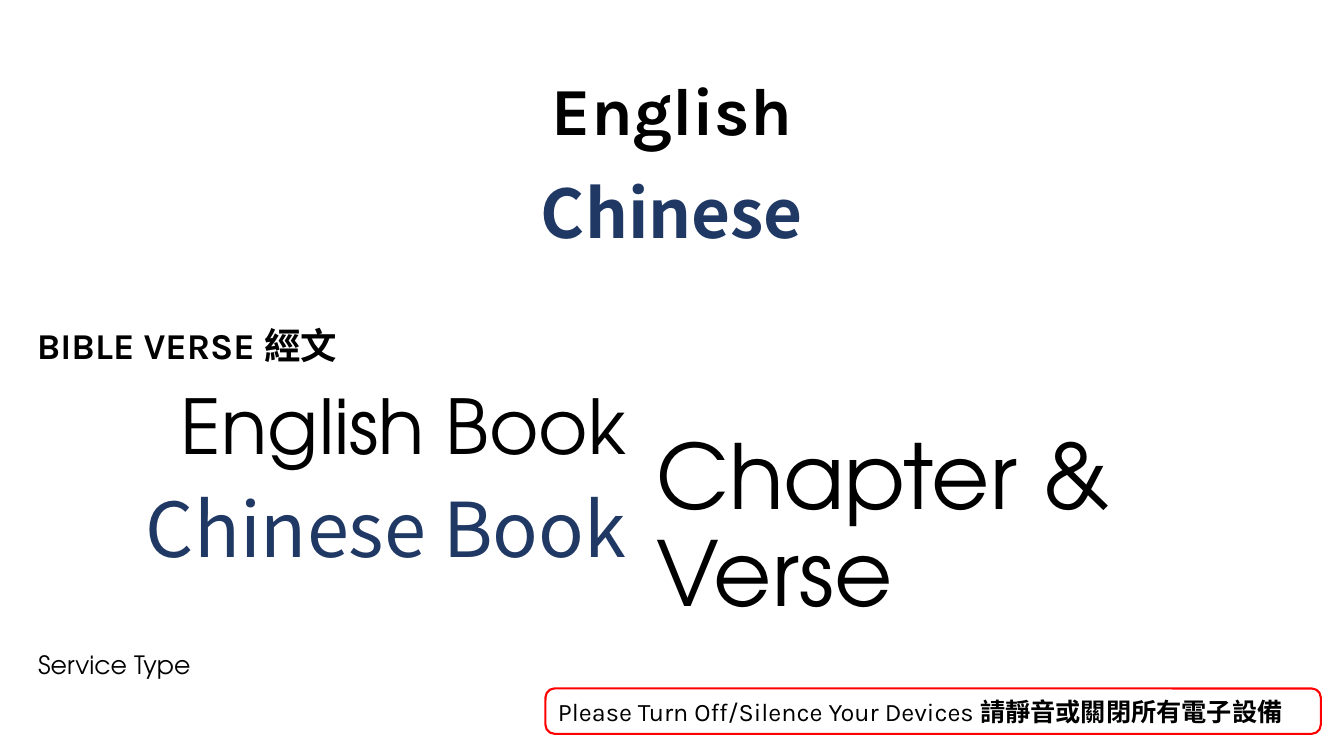
from pptx import Presentation
from pptx.dml.color import RGBColor as Color
from pptx.enum.shapes import MSO_SHAPE as Shape
from pptx.enum.text import MSO_ANCHOR as Anchor, MSO_AUTO_SIZE as Fit, PP_ALIGN as Align
from pptx.oxml.ns import qn
from pptx.util import Inches, Pt
from lxml.etree import SubElement


class Theme:
    black = Color(0, 0, 0)
    navy = Color(0x20, 0x38, 0x64)
    red = Color(0xFF, 0, 0)
    karla = "Karla"
    gyre = "TeX Gyre Adventor"
    hans = "Noto Sans CJK SC"
    hant = "Noto Sans CJK TC"
    small, label, head, book, verse = map(Pt, (18, 26, 48, 54, 64))


def place(shape, box):
    shape.left, shape.top, shape.width, shape.height = map(Inches, box)


def write(shape, runs, size, color=Theme.black, align=Align.LEFT, **frame):
    """Fill a shape with runs of (text, Latin font, East Asian font, bold)."""
    body = shape.text_frame
    base = dict(word_wrap=True, auto_size=Fit.NONE, vertical_anchor=Anchor.TOP)
    for key, value in (base | frame).items():
        setattr(body, key, value)
    para = body.paragraphs[0]
    para.alignment = align
    para.space_before = Pt(0)
    para.line_spacing = 0.9 if runs[0][1] != Theme.karla else 1.0
    for text, latin, asian, bold in runs:
        run = para.add_run()
        run.text = text
        look = dict(name=latin, size=size, bold=bold)
        for key, value in look.items():
            setattr(run.font, key, value)
        run.font.color.rgb = color
        SubElement(run.font._element, qn("a:ea"), typeface=asian)


deck = Presentation()
deck.slide_width, deck.slide_height = Inches(13.33), Inches(7.5)
slide = deck.slides.add_slide(deck.slide_layouts[0])
shapes = slide.shapes

# Sermon title in both languages
title, sub = slide.placeholders
place(title, (0, 0.58, 13.33, 0.91))
write(title, [("English", Theme.karla, Theme.hant, True)], Theme.head,
      align=Align.CENTER, margin_top=Inches(0.1))
place(sub, (0, 1.74, 13.33, 0.91))
write(sub, [("Chinese", Theme.hans, Theme.hans, True)], Theme.head,
      Theme.navy, Align.CENTER)

# Bible verse and service type
texts = [
    ("English Book", (0, 3.81, 6.31, 1.04), Theme.gyre, Theme.book,
     dict(align=Align.RIGHT)),
    ("Chinese Book", (0, 4.83, 6.31, 1.04), Theme.hant, Theme.book,
     dict(align=Align.RIGHT, color=Theme.navy)),
    ("Chapter & Verse", (6.51, 4.24, 6.82, 1.11), Theme.gyre, Theme.verse,
     dict(margin_left=0, margin_right=0)),
    ("Service Type", (0.28, 6.43, 4.74, 0.4), Theme.gyre, Theme.small, {}),
]
for text, box, font, size, form in texts:
    area = shapes.add_textbox(*map(Inches, box))
    write(area, [(text, font, Theme.hant, False)], size, **form)

# Verse label and device notice
panels = [
    ((0.26, 3.06, 3.95, 0.73), 0.03, None, Theme.label,
     [("BIBLE VERSE 經文", Theme.karla, Theme.hant, True)]),
    ((5.41, 6.83, 7.69, 0.45), 0.2, Theme.red, Theme.small,
     [("Please Turn Off/Silence Your Devices ", Theme.karla, Theme.hant, False),
      ("請靜音或關閉所有電子設備", Theme.hant, Theme.hant, True)]),
]
for box, curve, edge, size, runs in panels:
    panel = shapes.add_shape(Shape.ROUNDED_RECTANGLE, *map(Inches, box))
    panel.adjustments[0] = curve
    panel.shadow.inherit = False
    panel.fill.background()
    if edge:
        panel.line.color.rgb = edge
        panel.line.width = Pt(1.5)
    else:
        panel.line.fill.background()
    write(panel, runs, size, vertical_anchor=Anchor.MIDDLE)

deck.save("out.pptx")
